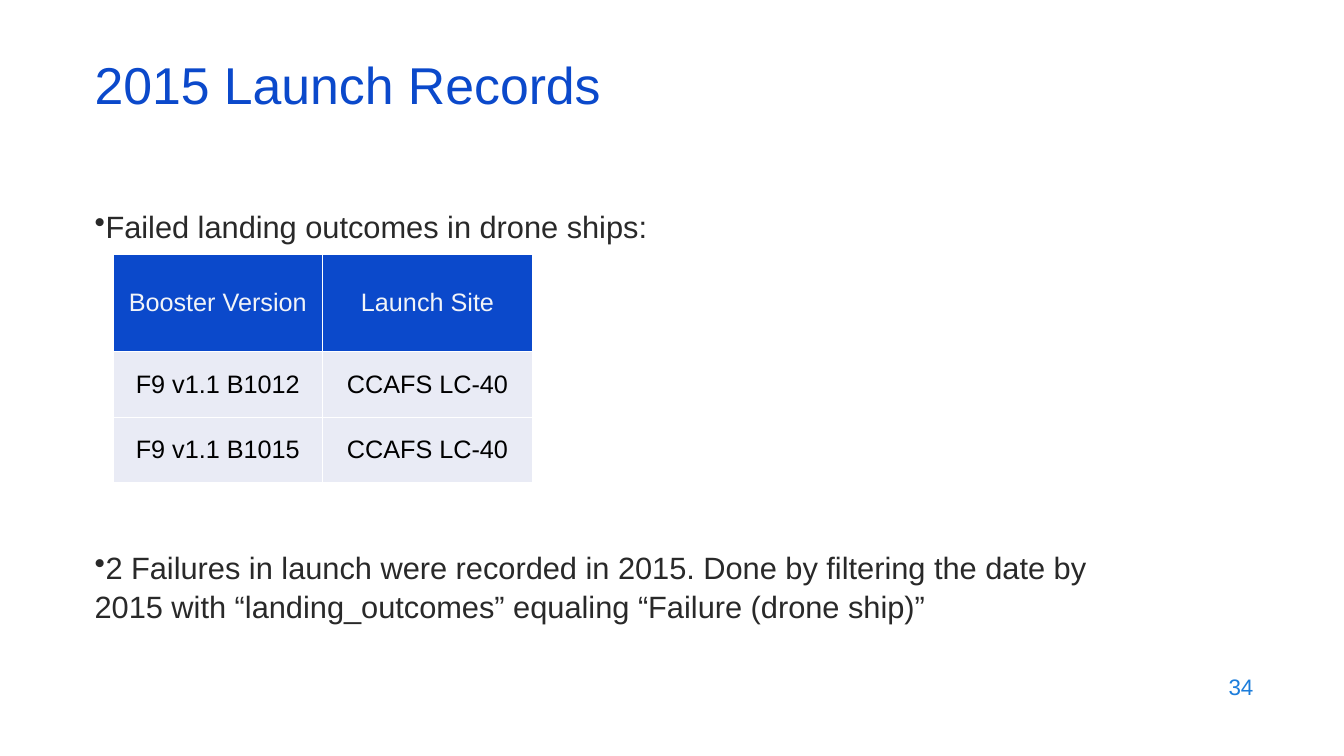
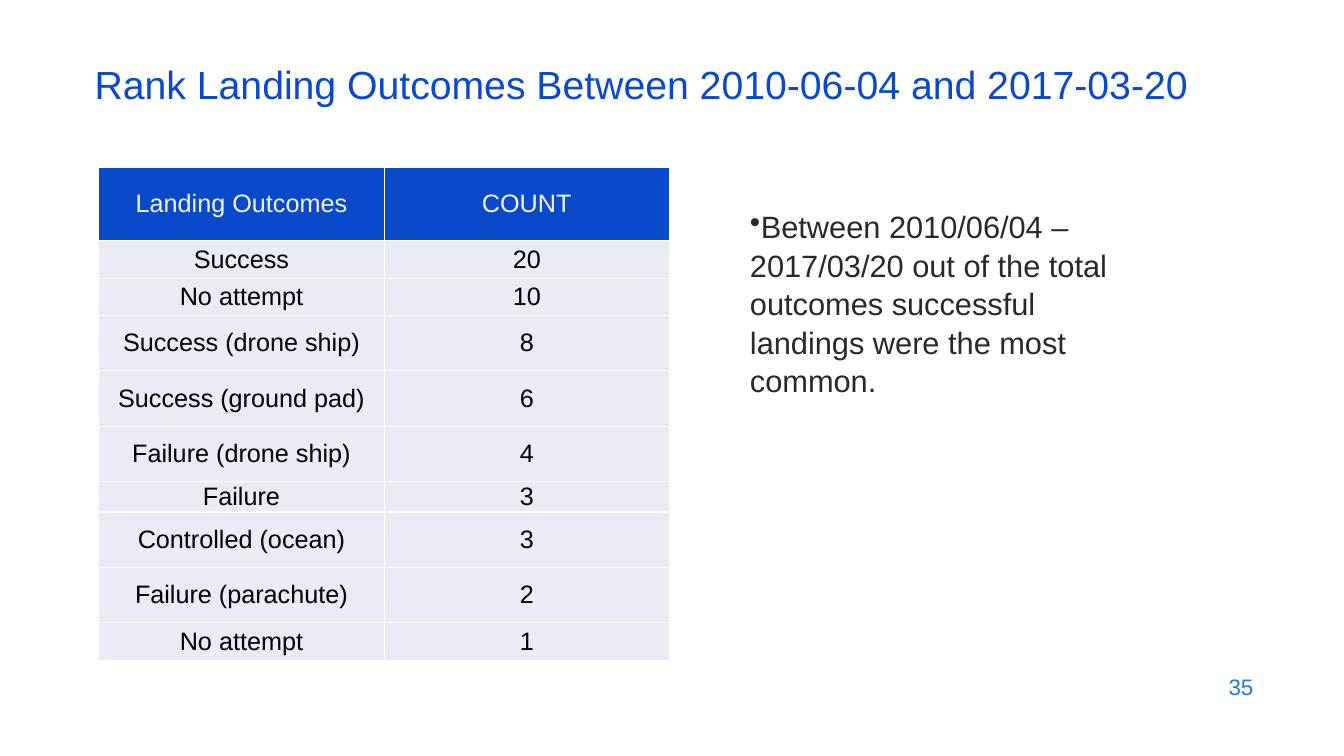
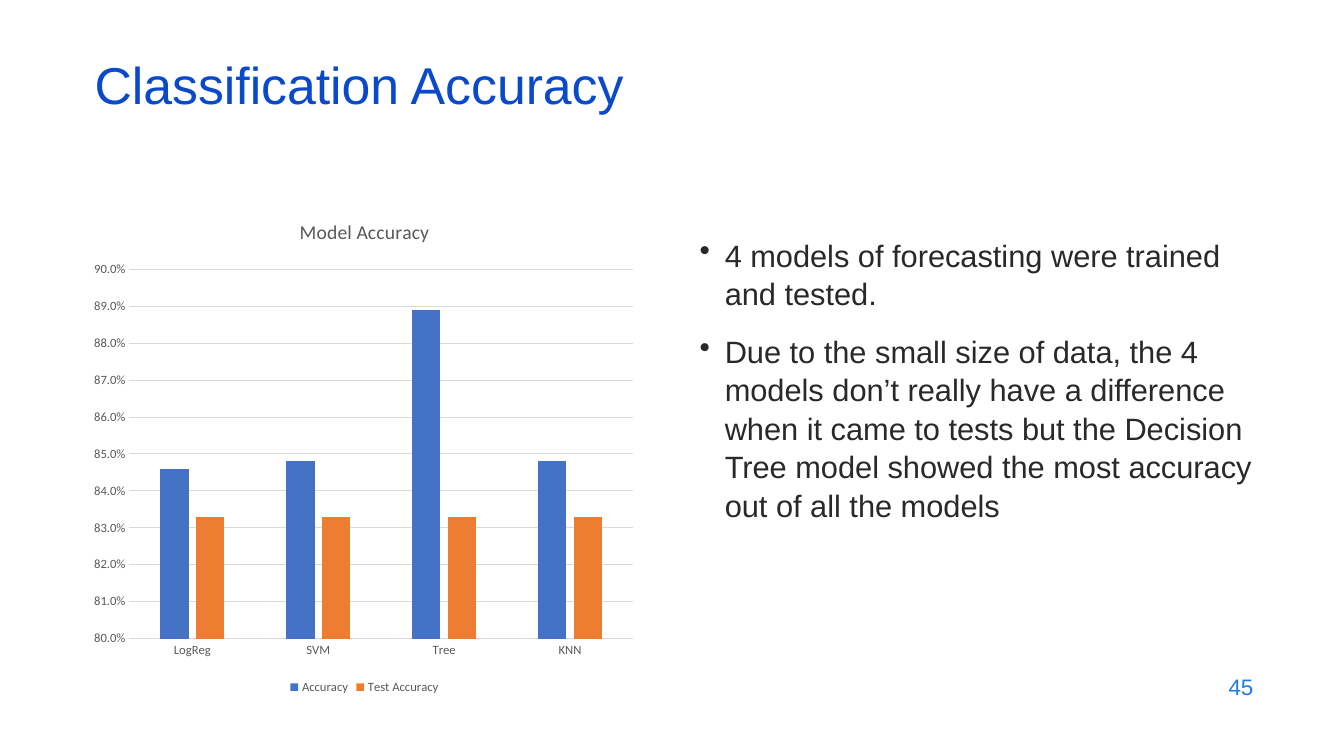
from dataclasses import dataclass

from lxml import etree
from pptx import Presentation
from pptx.chart.data import CategoryChartData
from pptx.dml.color import RGBColor
from pptx.enum.chart import XL_CHART_TYPE as CHART, XL_LEGEND_POSITION as LEGEND, XL_TICK_MARK as TICK
from pptx.enum.text import MSO_ANCHOR as ANCHOR, PP_ALIGN as ALIGN
from pptx.oxml import parse_xml
from pptx.oxml.ns import nsdecls, qn
from pptx.util import Inches, Pt


@dataclass(frozen=True)
class Theme:
    font: str = "Arial"
    chart_font: str = "Calibri"
    title: str = "0B49CB"
    number: str = "1C7DDB"
    body: str = "292929"
    head_text: str = "F2F4F8"
    cell_text: str = "000000"
    cell_fill: str = "E9EBF5"
    border: str = "FFFFFF"
    chart_text: str = "595959"
    grid: str = "D9D9D9"
    series: tuple = ("4472C4", "ED7D31")
    title_size: int = 37
    body_size: int = 22
    table_size: int = 18
    number_size: int = 16
    chart_title_size: int = 14
    chart_size: int = 9
    body_spacing: float = 1.04
    body_gap: int = 14


class Deck:
    """Builds slides that share one theme, title style and page number."""

    def __init__(self, theme):
        self.t = theme
        self.prs = Presentation()
        self.prs.slide_width, self.prs.slide_height = Inches(13.33), Inches(7.5)
        self.s = None

    def style(self, font, size, color, name=None):
        font.name, font.size, font.bold = name or self.t.font, Pt(size), False
        font.color.rgb = RGBColor.from_string(color)

    def run(self, p, text, size, color):
        r = p.add_run()
        r.text = text
        self.style(r.font, size, color)

    def box(self, x, y, w, h, anchor=ANCHOR.TOP):
        tf = self.s.shapes.add_textbox(Inches(x), Inches(y), Inches(w), Inches(h)).text_frame
        tf.word_wrap, tf.vertical_anchor = True, anchor
        return tf

    def slide(self, title, number, size=None, spacing=0.8):
        self.s = self.prs.slides.add_slide(self.prs.slide_layouts[6])
        p = self.box(0.84, 0.59, 11.5, 0.6, ANCHOR.MIDDLE).paragraphs[0]
        p.line_spacing = spacing
        self.run(p, title, size or self.t.title_size, self.t.title)
        p = self.box(9.53, 6.59, 3, 0.44, ANCHOR.MIDDLE).paragraphs[0]
        p.alignment = ALIGN.RIGHT
        self.run(p, str(number), self.t.number_size, self.t.number)

    def bullets(self, x, y, w, h, items, hang=0, gap=None):
        tf = self.box(x, y, w, h)
        for i, text in enumerate(items):
            p = tf.add_paragraph() if i else tf.paragraphs[0]
            pPr = p._p.get_or_add_pPr()
            pPr.set("marL", str(Inches(hang)))
            pPr.set("indent", str(-Inches(hang)))
            etree.SubElement(pPr, qn("a:buChar")).set("char", "•")
            p.line_spacing = self.t.body_spacing
            if i:
                p.space_before = Pt(gap or self.t.body_gap)
            self.run(p, text, self.t.body_size, self.t.body)

    def table(self, x, y, col_w, heights, rows):
        shape = self.s.shapes.add_table(len(rows), len(rows[0]), Inches(x), Inches(y),
                                        Inches(col_w * len(rows[0])), Inches(sum(heights)))
        tbl = shape.table
        tbl.first_row = tbl.horz_banding = False
        for col in tbl.columns:
            col.width = Inches(col_w)
        for i, (height, row) in enumerate(zip(heights, rows)):
            tbl.rows[i].height = Inches(height)
            for j, text in enumerate(row):
                self.cell(tbl.cell(i, j), text, i == 0)

    def cell(self, cell, text, head):
        tcPr = cell._tc.get_or_add_tcPr()
        for side in "LRTB":
            tcPr.append(parse_xml(
                f'<a:ln{side} {nsdecls("a")} w="{Pt(1)}"><a:solidFill>'
                f'<a:srgbClr val="{self.t.border}"/></a:solidFill></a:ln{side}>'))
        cell.fill.solid()
        cell.fill.fore_color.rgb = RGBColor.from_string(self.t.title if head else self.t.cell_fill)
        cell.margin_left = cell.margin_right = cell.margin_top = cell.margin_bottom = 0
        cell.vertical_anchor = ANCHOR.MIDDLE
        p = cell.text_frame.paragraphs[0]
        p.alignment = ALIGN.CENTER
        self.run(p, text, self.t.table_size, self.t.head_text if head else self.t.cell_text)

    def columns(self, x, y, w, h, title, cats, series, plot_area):
        data = CategoryChartData(number_format="0.0%")
        data.categories = cats
        for name, vals in series.items():
            data.add_series(name, vals)
        chart = self.s.shapes.add_chart(CHART.COLUMN_CLUSTERED, Inches(x), Inches(y),
                                        Inches(w), Inches(h), data).chart
        t = self.t
        self.style(chart.font, t.chart_size, t.chart_text, t.chart_font)
        r = chart.chart_title.text_frame.paragraphs[0].add_run()
        r.text = title
        self.style(r.font, t.chart_title_size, t.chart_text, t.chart_font)
        chart.has_legend = True
        chart.legend.position, chart.legend.include_in_layout = LEGEND.BOTTOM, False
        plot = chart.plots[0]
        plot.gap_width, plot.overlap, plot.vary_by_categories = 219, -27, False
        for ser, color in zip(plot.series, t.series):
            ser.format.fill.solid()
            ser.format.fill.fore_color.rgb = RGBColor.from_string(color)
        cat, val = chart.category_axis, chart.value_axis
        for axis in (cat, val):
            axis.major_tick_mark = axis.minor_tick_mark = TICK.NONE
            self.style(axis.tick_labels.font, t.chart_size, t.chart_text, t.chart_font)
        val.minimum_scale, val.maximum_scale, val.major_unit = 0.8, 0.9, 0.01
        val.tick_labels.number_format, val.tick_labels.number_format_is_linked = "0.0%", False
        val.format.line.fill.background()
        for line in (cat.format.line, val.major_gridlines.format.line):
            line.width = Pt(0.75)
            line.color.rgb = RGBColor.from_string(t.grid)
        self.place_plot(chart, plot_area)

    def place_plot(self, chart, plot_area):
        area = chart.element.xpath("c:chart/c:plotArea")[0]
        for old in area.findall(qn("c:layout")):
            area.remove(old)
        sizes = "".join(f'<c:{k} val="{v}"/>' for k, v in zip("xywh", plot_area))
        area.insert(0, parse_xml(
            f'<c:layout {nsdecls("c")}><c:manualLayout><c:layoutTarget val="inner"/>'
            f'<c:xMode val="edge"/><c:yMode val="edge"/>{sizes}</c:manualLayout></c:layout>'))


def main():
    deck = Deck(Theme())

    deck.slide("2015 Launch Records", 34)
    deck.bullets(0.84, 2, 10.66, 4.76, [
        "Failed landing outcomes in drone ships:",
        "2 Failures in launch were recorded in 2015. Done by filtering the date by 2015 "
        "with “landing_outcomes” equaling “Failure (drone ship)”",
    ], gap=216)
    deck.table(1.12, 2.52, 2.08, [0.97, 0.65, 0.65], [
        ("Booster Version", "Launch Site"),
        ("F9 v1.1 B1012", "CCAFS LC-40"),
        ("F9 v1.1 B1015", "CCAFS LC-40"),
    ])

    deck.slide("Rank Landing Outcomes Between 2010-06-04 and 2017-03-20", 35, size=28, spacing=0.7)
    deck.bullets(7.34, 2, 4.16, 4.76, [
        "Between 2010/06/04 – 2017/03/20 out of the total outcomes successful landings "
        "were the most common.",
    ])
    short, tall = 0.37, 0.55
    deck.table(0.98, 1.66, 2.83, [0.73, short, short, tall, tall, tall, 0.28, tall, tall, short], [
        ("Landing Outcomes", "COUNT"),
        ("Success", "20"),
        ("No attempt", "10"),
        ("Success (drone ship)", "8"),
        ("Success (ground pad)", "6"),
        ("Failure (drone ship)", "4"),
        ("Failure", "3"),
        ("Controlled (ocean)", "3"),
        ("Failure (parachute)", "2"),
        ("No attempt", "1"),
    ])

    deck.slide("Classification Accuracy", 45)
    deck.bullets(6.84, 2.28, 5.82, 4.17, [
        "4 models of forecasting were trained and tested.",
        "Due to the small size of data, the 4 models don’t really have a difference when it "
        "came to tests but the Decision Tree model showed the most accuracy out of all the models",
    ], hang=0.25)
    deck.columns(0.84, 1.98, 5.55, 4.95, "Model Accuracy", ["LogReg", "SVM", "Tree", "KNN"], {
        "Accuracy": (0.846, 0.848, 0.889, 0.848),
        "Test Accuracy": (0.833,) * 4,
    }, plot_area=(0.08, 0.14, 0.9, 0.74))

    deck.prs.save("out.pptx")


if __name__ == "__main__":
    main()
